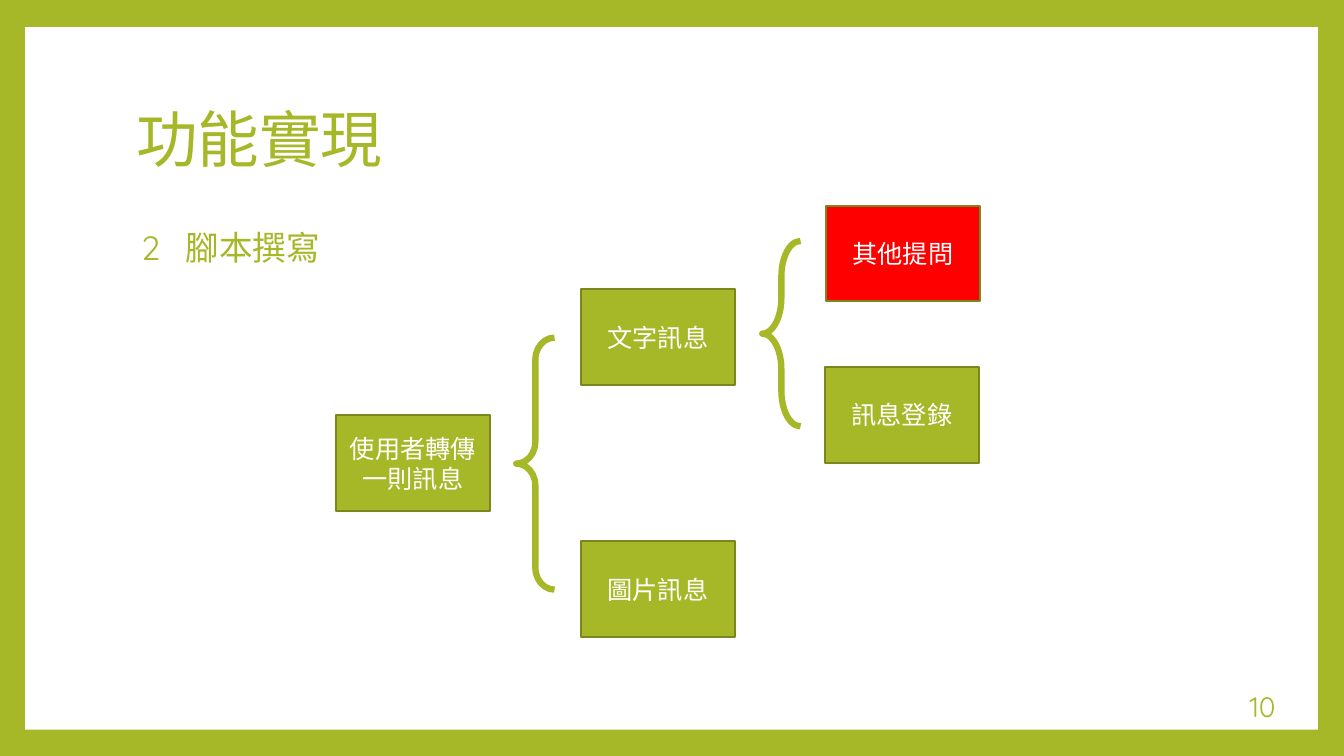
import pptx
import pptx.dml.color
import pptx.enum.shapes
import pptx.enum.text
import pptx.oxml
import pptx.oxml.ns
import pptx.util

RGBColor = pptx.dml.color.RGBColor
SHAPE = pptx.enum.shapes.MSO_SHAPE
ALIGN = pptx.enum.text.PP_ALIGN
ANCHOR = pptx.enum.text.MSO_ANCHOR

GREEN = RGBColor(0xA6, 0xB7, 0x27)
OLIVE = RGBColor(0x7B, 0x87, 0x1D)
RED = RGBColor(0xFF, 0x00, 0x00)
WHITE = RGBColor(0xFF, 0xFF, 0xFF)

EMU_PER_PX = 9144  # 100 px to the inch
BOX_WIDTH, BOX_HEIGHT = 153, 95
BRACE_WIDTH = 38


def px(*lengths):
    return [pptx.util.Emu(length * EMU_PER_PX) for length in lengths]


class SlideBuilder:
    latin_font = "Quicksand"
    cjk_font = "Noto Sans CJK SC"

    def __init__(self, deck):
        self.page = deck.slides.add_slide(deck.slide_layouts[1])
        background = self.page.background.fill
        background.solid()
        background.fore_color.rgb = GREEN

    def set_text(self, frame, text, size, color, font, align, anchor):
        frame.word_wrap = True
        frame.auto_size = pptx.enum.text.MSO_AUTO_SIZE.NONE
        frame.vertical_anchor = anchor
        frame.text = text
        para = frame.paragraphs[0]
        para.alignment = align
        for span in para.runs:
            span.font.size = pptx.util.Pt(size)
            span.font.name = font
            span.font.color.rgb = color
            east_asian = pptx.oxml.parse_xml(
                f'<a:ea {pptx.oxml.ns.nsdecls("a")} typeface="{self.cjk_font}"/>')
            span.font._element.find(pptx.oxml.ns.qn("a:latin")).addnext(east_asian)
        return para

    def placeholder(self, index, area, text, size, anchor):
        holder = self.page.placeholders[index]
        holder.left, holder.top, holder.width, holder.height = px(*area)
        para = self.set_text(holder.text_frame, text, size, GREEN, self.latin_font,
                             ALIGN.LEFT, anchor)
        para.line_spacing = 0.9
        para.space_before = pptx.util.Pt(0)
        return para

    def title(self, area, text):
        self.placeholder(0, area, text, 44, ANCHOR.MIDDLE)

    def numbered_item(self, area, number, text, start, hang):
        """Place the number at start and the text at start + hang."""
        para = self.placeholder(1, area, f"{number}\t{text}", 24, ANCHOR.TOP)
        properties = para._p.get_or_add_pPr()
        margin, indent = px(start + hang, -hang)
        properties.set("marL", str(margin))
        properties.set("indent", str(indent))
        properties.append(pptx.oxml.parse_xml(
            f'<a:buNone {pptx.oxml.ns.nsdecls("a")}/>'))

    def page_number(self, area, text):
        box = self.page.shapes.add_textbox(*px(*area))
        self.set_text(box.text_frame, text, 20, GREEN, self.latin_font,
                      ALIGN.RIGHT, ANCHOR.MIDDLE)

    def panel(self, area):
        panel = self.page.shapes.add_shape(SHAPE.RECTANGLE, *px(*area))
        panel.shadow.inherit = False
        panel.fill.solid()
        panel.fill.fore_color.rgb = WHITE
        panel.line.fill.background()
        # The panel lies behind the placeholders
        self.page.shapes._spTree.insert(2, panel._element)

    def box(self, left, top, text, fill=GREEN):
        box = self.page.shapes.add_shape(
            SHAPE.RECTANGLE, *px(left, top, BOX_WIDTH, BOX_HEIGHT))
        box.shadow.inherit = False
        box.fill.solid()
        box.fill.fore_color.rgb = fill
        box.line.color.rgb = OLIVE
        box.line.width = pptx.util.Pt(1.5)
        self.set_text(box.text_frame, text, 18, WHITE, self.cjk_font,
                      ALIGN.CENTER, ANCHOR.MIDDLE)

    def brace(self, left, top, height, curve):
        brace = self.page.shapes.add_shape(
            SHAPE.LEFT_BRACE, *px(left, top, BRACE_WIDTH, height))
        brace.shadow.inherit = False
        brace.fill.background()
        brace.line.color.rgb = GREEN
        brace.line.width = pptx.util.Pt(4.5)
        brace.adjustments[0] = curve
        brace.adjustments[1] = 0.5


def main():
    deck = pptx.Presentation()
    deck.slide_width, deck.slide_height = px(1333, 750)

    slide = SlideBuilder(deck)
    slide.panel((25, 27, 1282, 697))
    slide.title((125, 67, 1080, 148), "功能實現")
    slide.numbered_item((125, 225, 1080, 442), "2", "腳本撰寫", start=5, hang=44)
    slide.page_number((1088, 681, 187, 40), "10")

    slide.box(333, 412, "使用者轉傳一則訊息")
    slide.brace(512, 335, 250, curve=0.57)
    slide.box(576, 287, "文字訊息")
    slide.box(576, 537, "圖片訊息")
    slide.brace(756, 239, 184, curve=0.93)
    slide.box(819, 204, "其他提問", RED)
    slide.box(818, 364, "訊息登錄")

    deck.save("out.pptx")


if __name__ == "__main__":
    main()
